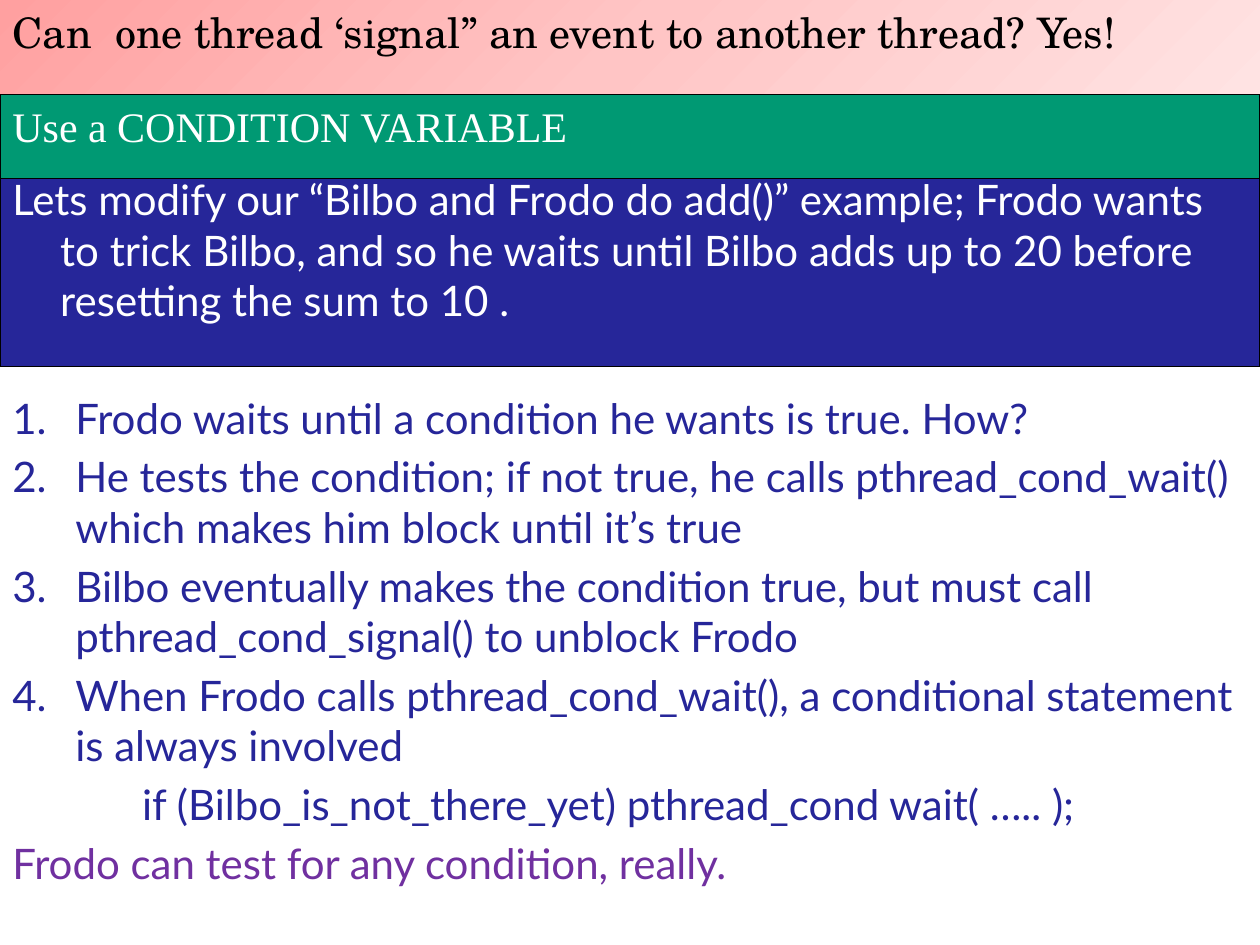
"""Builds a slide on signalling between threads with a condition variable."""
from copy import deepcopy
from pptx import Presentation
from pptx.dml.color import RGBColor
from pptx.enum.shapes import MSO_SHAPE
from pptx.enum.text import MSO_ANCHOR, PP_ALIGN
from pptx.oxml.ns import qn
from pptx.util import Inches, Pt

RECTANGLE, TOP, LEFT = MSO_SHAPE.RECTANGLE, MSO_ANCHOR.TOP, PP_ALIGN.LEFT

TITLE = "Can  one thread ‘signal” an event to another thread? Yes!"
SUBTITLE = "Use a CONDITION VARIABLE"
BODY = [
    ("intro", "Lets modify our “Bilbo and Frodo do add()” example; Frodo wants to trick Bilbo, "
              "and so he waits until Bilbo adds up to 20 before resetting the sum to 10 ."),
    ("step", "Frodo waits until a condition he wants is true. How?"),
    ("step", "He tests the condition; if not true, he calls pthread_cond_wait() "
             "which makes him block until it’s true"),
    ("step", "Bilbo eventually makes the condition true, but must call "
             "pthread_cond_signal() to unblock Frodo"),
    ("step", "When Frodo calls pthread_cond_wait(), a conditional statement is always involved"),
    ("code", "if (Bilbo_is_not_there_yet) pthread_cond wait( ….. );"),
    ("remark", "Frodo can test for any condition, really."),
]
THEME = {
    "size": 24, "gap": 4.8, "break": 38.4,
    "title_font": "TeX Gyre Schola", "subtitle_font": "Times New Roman", "body_font": "Lato",
    "black": "000000", "white": "FFFFFF", "navy": "262699", "green": "009973",
    "purple": "7030A0", "blush": ("FFA0A0", "FFC5C5", "FFE3E3"),
}
STYLES = {
    "intro": {"margin": 0.38, "indent": -0.38, "color": "white"},
    "step": {"margin": 0.5, "indent": -0.5, "color": "navy"},
    "code": {"margin": 1.03, "indent": 0, "color": "navy"},
    "remark": {"margin": 0.5, "indent": -0.5, "color": "purple"},
}
WIDTH, HEIGHT = 10, 7.5
TITLE_HEIGHT = HEIGHT / 10
BODY_TOP = 1.33


def color(name):
    return RGBColor.from_string(THEME[name])


def style(para, text, font, ink):
    para.text = text
    para.alignment = LEFT
    para.font.name = THEME[font]
    para.font.size = Pt(THEME["size"])
    para.font.color.rgb = color(ink)


def add_band(page, top, height, fill=None):
    band = page.shapes.add_shape(RECTANGLE, 0, Inches(top), Inches(WIDTH), Inches(height))
    band.shadow.inherit = False
    band.text_frame.word_wrap = True
    band.text_frame.vertical_anchor = TOP
    if fill:
        band.fill.solid()
        band.fill.fore_color.rgb = color(fill)
        band.line.color.rgb = color("black")
        band.line.width = Pt(0.75)
    else:
        band.line.fill.background()
    return band


def shade(band, tints):
    band.fill.gradient()
    band.fill.gradient_angle = 315
    first = band.element.find(".//" + qn("a:gs"))
    first.addnext(deepcopy(first))
    for index, (stop, tint) in enumerate(zip(band.fill.gradient_stops, tints)):
        stop.position = index / (len(tints) - 1)
        stop.color.rgb = RGBColor.from_string(tint)


def add_body(page):
    box = page.shapes.add_textbox(0, Inches(BODY_TOP), Inches(WIDTH), Inches(HEIGHT - BODY_TOP))
    frame = box.text_frame
    frame.word_wrap = True
    previous = None
    for kind, text in BODY:
        look = STYLES[kind]
        para = frame.add_paragraph() if previous else frame.paragraphs[0]
        style(para, text, "body_font", look["color"])
        if previous:
            para.space_before = Pt(THEME["break" if previous == "intro" else "gap"])
        properties = para._p.get_or_add_pPr()
        properties.set("marL", str(Inches(look["margin"])))
        properties.set("indent", str(Inches(look["indent"])))
        if kind == "step":
            numbering = properties.makeelement(qn("a:buAutoNum"), {"type": "arabicPeriod"})
            properties.insert_element_before(numbering, "a:tabLst", "a:defRPr", "a:extLst")
        previous = kind


deck = Presentation()
deck.slide_width, deck.slide_height = Inches(WIDTH), Inches(HEIGHT)
page = deck.slides.add_slide(deck.slide_layouts[6])
add_band(page, BODY_TOP, 1.58, "navy")
add_body(page)
title = add_band(page, 0, TITLE_HEIGHT)
shade(title, THEME["blush"])
style(title.text_frame.paragraphs[0], TITLE, "title_font", "black")
subtitle = add_band(page, TITLE_HEIGHT, 0.67, "green")
style(subtitle.text_frame.paragraphs[0], SUBTITLE, "subtitle_font", "white")
deck.save("out.pptx")
